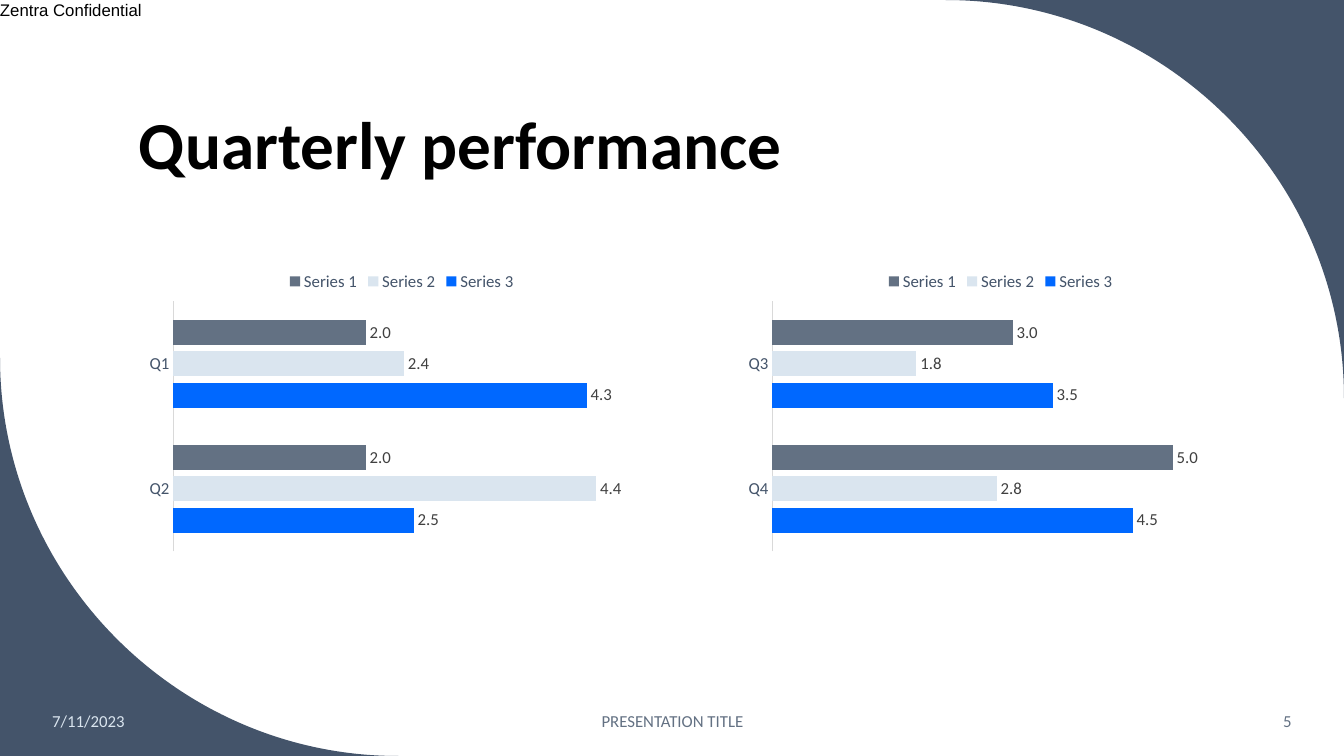
import pptx
import pptx.chart.data
import pptx.dml.color
import pptx.enum.chart
import pptx.enum.text
import pptx.oxml.ns
import pptx.oxml.xmlchemy
import pptx.util

Inches = pptx.util.Inches
Align = pptx.enum.text.PP_ALIGN
Anchor = pptx.enum.text.MSO_ANCHOR

SLIDE_WIDTH, SLIDE_HEIGHT = 13.33, 7.5
CORNER_RADIUS = 3.95
CURVE_RATIO = 0.55
NAVY, SLATE, PALE, BLUE = "44546A", "637183", "DAE5EF", "0068FF"
SERIES_COLORS = {"Series 3": BLUE, "Series 2": PALE, "Series 1": SLATE}


def color(hex_string):
    """Turn a hex string into a color."""
    return pptx.dml.color.RGBColor.from_string(hex_string)


def style_font(font, size, hex_string, name="Calibri", bold=False):
    """Set the face, size, weight and color of a font."""
    font.name, font.size, font.bold = name, pptx.util.Pt(size), bold
    font.color.rgb = color(hex_string)


def add_text(slide, box, text, size, hex_string, align=Align.LEFT,
             anchor=Anchor.MIDDLE, name="Calibri", bold=False):
    """Add one line of text in a box and return its text frame."""
    frame = slide.shapes.add_textbox(*map(Inches, box)).text_frame
    frame.word_wrap = True
    frame.vertical_anchor = anchor
    paragraph = frame.paragraphs[0]
    paragraph.text = text
    paragraph.alignment = align
    style_font(paragraph.font, size, hex_string, name, bold)
    return frame


def add_curved_corner(slide, box, points):
    """Fill a corner bounded by one curve, given as fractions of a square box."""
    left, top, size = box
    corner, *curve = [(Inches(left + size * x), Inches(top + size * y))
                      for x, y in points]
    builder = slide.shapes.build_freeform(*corner)
    builder.add_line_segments(curve, close=True)
    shape = builder.convert_to_shape()
    qn = pptx.oxml.ns.qn
    lines = list(shape.element.iter(qn("a:lnTo")))[1:4]
    bezier = pptx.oxml.xmlchemy.OxmlElement("a:cubicBezTo")
    lines[0].addprevious(bezier)
    for line in lines:
        bezier.append(line.find(qn("a:pt")))
        line.getparent().remove(line)
    shape.shadow.inherit = False
    shape.fill.solid()
    shape.fill.fore_color.rgb = color(NAVY)
    shape.line.fill.background()


def add_quarter_chart(slide, box, quarters, values, maximum):
    """Add a clustered bar chart that compares two quarters."""
    data = pptx.chart.data.CategoryChartData(number_format="#,##0.0")
    data.categories = quarters
    for name, series_values in zip(SERIES_COLORS, values):
        data.add_series(name, series_values)
    chart = slide.shapes.add_chart(
        pptx.enum.chart.XL_CHART_TYPE.BAR_CLUSTERED, *map(Inches, box), data).chart
    style_font(chart.font, 10, "000000")
    chart.has_title = False
    chart.has_legend = True
    chart.legend.position = pptx.enum.chart.XL_LEGEND_POSITION.TOP
    chart.legend.include_in_layout = False
    style_font(chart.legend.font, 12, NAVY)

    category_axis = chart.category_axis
    category_axis.major_tick_mark = pptx.enum.chart.XL_TICK_MARK.NONE
    category_axis.format.line.color.rgb = color("D9D9D9")
    category_axis.format.line.width = pptx.util.Pt(0.75)
    style_font(category_axis.tick_labels.font, 12, NAVY)
    value_axis = chart.value_axis
    value_axis.visible = False
    value_axis.has_major_gridlines = False
    value_axis.minimum_scale, value_axis.maximum_scale = 0, maximum

    plot = chart.plots[0]
    plot.gap_width, plot.overlap = 150, -25
    plot.vary_by_categories = False
    for series in plot.series:
        series.format.fill.solid()
        series.format.fill.fore_color.rgb = color(SERIES_COLORS[series.name])
        labels = series.data_labels
        labels.show_value = True
        labels.number_format = "#,##0.0"
        labels.number_format_is_linked = False
        labels.position = pptx.enum.chart.XL_LABEL_POSITION.OUTSIDE_END
        style_font(labels.font, 12, "404040")


def add_background(slide):
    """Add the confidentiality mark and the two curved corners."""
    frame = add_text(slide, (0, 0, 1.47, 0.2), "Zentra Confidential", 12, "000000",
                     anchor=Anchor.TOP, name="Arial")
    frame.margin_left = frame.margin_right = 0
    frame.margin_top = frame.margin_bottom = 0
    frame.auto_size = pptx.enum.text.MSO_AUTO_SIZE.SHAPE_TO_FIT_TEXT
    top_right = [(1, 0), (0, 0), (CURVE_RATIO, 0), (1, 1 - CURVE_RATIO), (1, 1)]
    bottom_left = [(1 - x, 1 - y) for x, y in top_right]
    add_curved_corner(slide, (SLIDE_WIDTH - CORNER_RADIUS, 0, CORNER_RADIUS),
                      top_right)
    add_curved_corner(slide, (0, SLIDE_HEIGHT - CORNER_RADIUS, CORNER_RADIUS),
                      bottom_left)


def add_footer(slide, top, height):
    """Add the date, the presentation title and the slide number."""
    add_text(slide, (0.42, top, 1.86, height), "7/11/2023", 12, PALE)
    add_text(slide, (4.42, top, 4.5, height), "PRESENTATION TITLE", 12, SLATE,
             Align.CENTER)
    add_text(slide, (11.1, top, 1.81, height), "5", 12, SLATE, Align.RIGHT)


def main():
    """Build the quarterly performance slide."""
    presentation = pptx.Presentation()
    presentation.slide_width = Inches(SLIDE_WIDTH)
    presentation.slide_height = Inches(SLIDE_HEIGHT)
    slide = presentation.slides.add_slide(presentation.slide_layouts[6])
    add_background(slide)
    title = add_text(slide, (1.28, 0.42, 10.69, 1.45), "Quarterly performance", 48,
                     "000000", anchor=Anchor.BOTTOM, bold=True)
    title.paragraphs[0].line_spacing = 0.9
    add_quarter_chart(slide, (1.38, 2.58, 5.21, 2.95), ("Q2", "Q1"),
                      ((2.5, 4.3), (4.4, 2.4), (2, 2)), 5)
    add_quarter_chart(slide, (7.32, 2.58, 5.21, 2.95), ("Q4", "Q3"),
                      ((4.5, 3.5), (2.8, 1.8), (5, 3)), 6)
    add_footer(slide, 6.95, 0.4)
    presentation.save("out.pptx")


if __name__ == "__main__":
    main()
